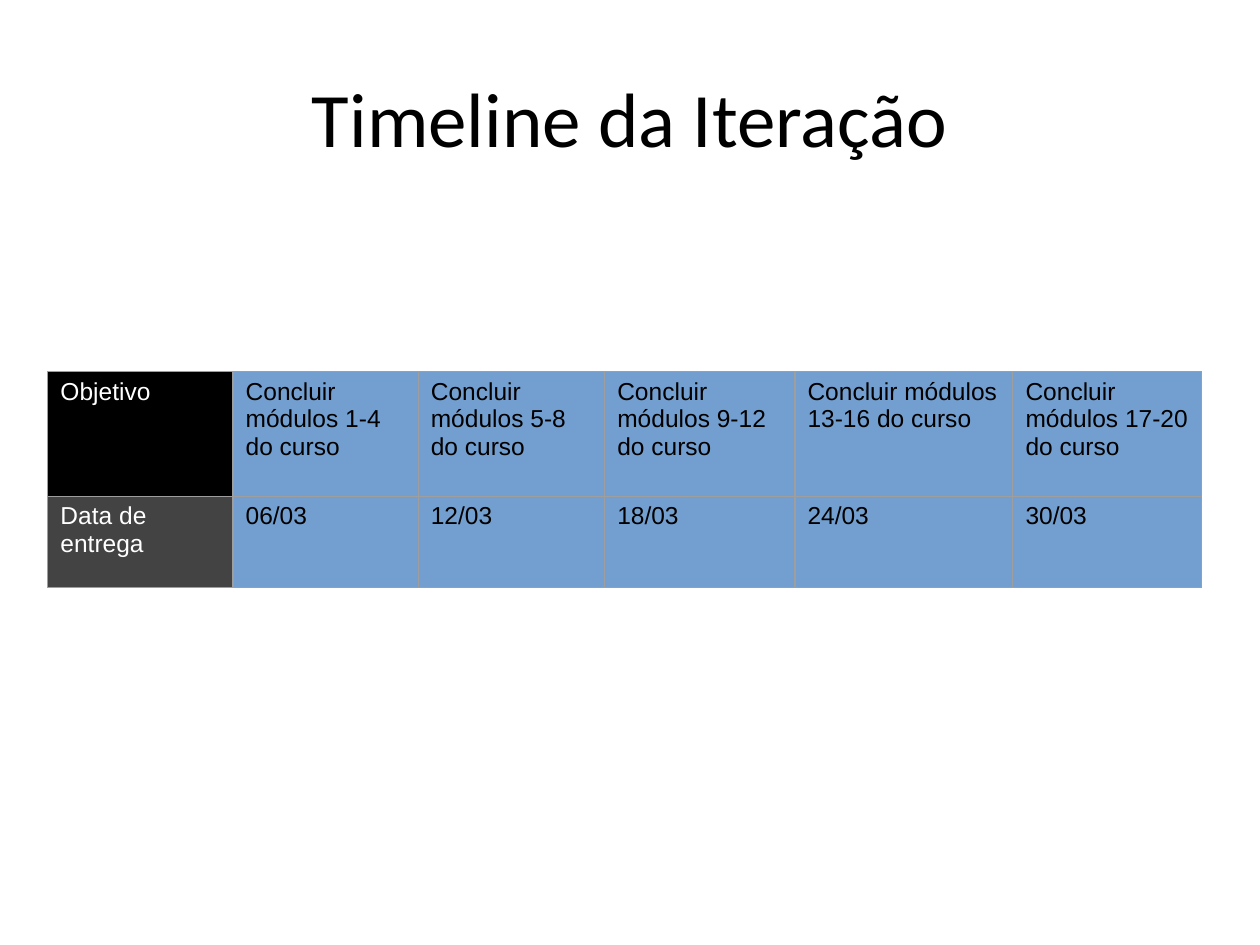
from lxml import etree
from pptx import Presentation
from pptx.dml.color import RGBColor
from pptx.enum.text import MSO_ANCHOR, PP_ALIGN
from pptx.oxml import parse_xml
from pptx.oxml.ns import nsdecls
from pptx.util import Pt

BLACK = RGBColor(0x00, 0x00, 0x00)
WHITE = RGBColor(0xFF, 0xFF, 0xFF)
SLATE = RGBColor(0x43, 0x43, 0x43)
BLUE = RGBColor(0x72, 0x9F, 0xCF)
GREY = RGBColor(0x9E, 0x9E, 0x9E)
LEFT, CENTER = PP_ALIGN.LEFT, PP_ALIGN.CENTER
TOP, MIDDLE = MSO_ANCHOR.TOP, MSO_ANCHOR.MIDDLE


def write(frame, text, font="Arial", size=14, color=BLACK, align=LEFT):
    """Put formatted text into a text frame."""
    para = frame.paragraphs[0]
    para.alignment = align
    run = para.add_run()
    run.text = text
    run.font.name = font
    run.font.size = Pt(size)
    run.font.color.rgb = color


class Deck:
    """Holds the table style and the current slide."""

    edge = GREY
    width = 0.75

    def __init__(self):
        self.file = Presentation()
        self.file.slide_width, self.file.slide_height = Pt(720), Pt(540)
        self.slide = self.file.slides.add_slide(self.file.slide_layouts[5])

    def title(self, text, left, top, width, height):
        box = self.slide.shapes.title
        box.left, box.top = Pt(left), Pt(top)
        box.width, box.height = Pt(width), Pt(height)
        box.text_frame.vertical_anchor = MIDDLE
        write(box.text_frame, text, font="Calibri", size=44, align=CENTER)

    def border(self, cell):
        props = cell._tc.get_or_add_tcPr()
        for spot, side in enumerate(("lnL", "lnR", "lnT", "lnB")):
            line = parse_xml(f'<a:{side} {nsdecls("a")} w="{Pt(self.width)}"/>')
            fill = etree.SubElement(line, line.tag.replace(side, "solidFill"))
            tone = etree.SubElement(fill, line.tag.replace(side, "srgbClr"))
            tone.set("val", str(self.edge))
            props.insert(spot, line)

    def cell(self, cell, text, fill, color):
        cell.fill.solid()
        cell.fill.fore_color.rgb = fill
        cell.vertical_anchor = TOP
        write(cell.text_frame, text, color=color)
        self.border(cell)

    def table(self, rows, heads, left, top, widths, heights):
        grid = self.slide.shapes.add_table(
            len(rows), len(widths), Pt(left), Pt(top),
            Pt(sum(widths)), Pt(sum(heights))).table
        grid.first_row = grid.horz_banding = False
        for col, width in zip(grid.columns, widths):
            col.width = Pt(width)
        for row, height, texts, head in zip(grid.rows, heights, rows, heads):
            row.height = Pt(height)
            for spot, (cell, text) in enumerate(zip(row.cells, texts)):
                fill, color = (BLUE, BLACK) if spot else (head, WHITE)
                self.cell(cell, text, fill, color)


deck = Deck()
deck.title("Timeline da Iteração", 36, 21.6, 648, 90)
goals = [f"Concluir módulos {n}-{n + 3} do curso" for n in range(1, 18, 4)]
dates = [f"{day:02}/03" for day in range(6, 31, 6)]
deck.table(
    [["Objetivo", *goals], ["Data de entrega", *dates]], [BLACK, SLATE],
    27.36, 212.4, [105.84, 105.84, 106.56, 108.72, 124.56, 108], [71.28, 51.84])
deck.file.save("out.pptx")
